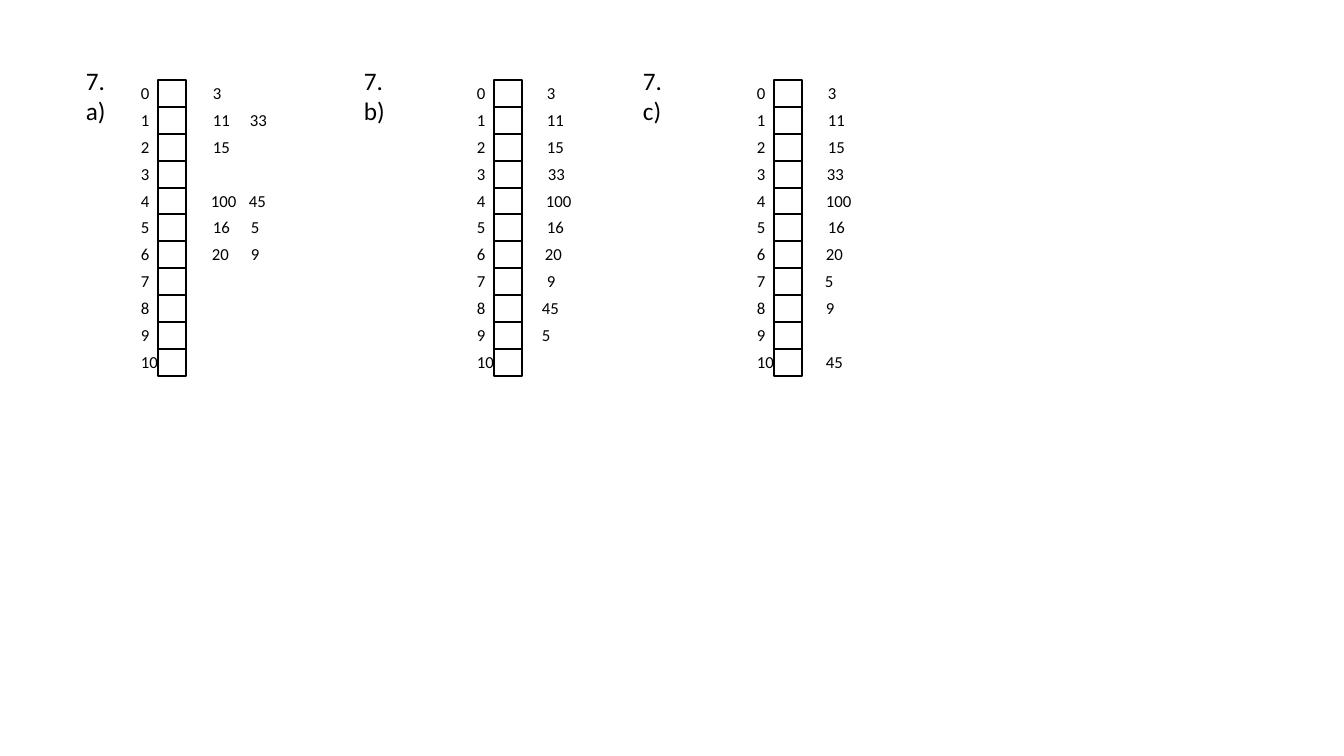
"""Build the slide of three hash tables with their stored values."""
from pptx import Presentation
from pptx.dml.color import RGBColor
from pptx.enum import shapes, text
from pptx.util import Emu, Pt

BLACK = RGBColor(0, 0, 0)
WHITE = RGBColor(255, 255, 255)
EMU_PER_PIXEL = 914400 / 100.8
BUCKETS = 11
PITCH = 26.9
TABLE_TOP = 80
TEXT_RISE = 2
INDEX_OFFSET = 27

FRAME_FORMAT = {
    "word_wrap": True,
    "auto_size": text.MSO_AUTO_SIZE.SHAPE_TO_FIT_TEXT,
}
HEADING_FONT = {"name": "Calibri", "size": Pt(18)}
NUMBER_FONT = {"name": "Calibri", "size": Pt(12)}

EXERCISES = [
    {"part": "a)", "heading_left": 76, "table_left": 158, "entries": [
        (0, "3", 203), (1, "11", 203), (1, "33", 240), (2, "15", 203),
        (4, "100", 201), (4, "45", 239), (5, "16", 203), (5, "5", 241),
        (6, "20", 202), (6, "9", 241)]},
    {"part": "b)", "heading_left": 354, "table_left": 494, "entries": [
        (0, "3", 537), (1, "11", 537), (2, "15", 537), (3, "33", 538),
        (4, "100", 536), (5, "16", 537), (6, "20", 535), (7, "9", 537),
        (8, "45", 532), (9, "5", 532)]},
    {"part": "c)", "heading_left": 633, "table_left": 774, "entries": [
        (0, "3", 818), (1, "11", 818), (2, "15", 818), (3, "33", 817),
        (4, "100", 816), (5, "16", 818), (6, "20", 816), (7, "5", 815),
        (8, "9", 816), (10, "45", 816)]},
]


def px(*lengths):
    """Turn pixel lengths into EMU."""
    return [Emu(round(length * EMU_PER_PIXEL)) for length in lengths]


def apply_format(target, values):
    """Set every attribute named in the format dict."""
    for attribute, value in values.items():
        setattr(target, attribute, value)


def bucket_top(bucket):
    """Return the top pixel of a bucket's cell."""
    return TABLE_TOP + round(bucket * PITCH)


def add_label(slide, lines, left, top, height, font):
    """Add a text box with one paragraph per line."""
    frame = slide.shapes.add_textbox(*px(left, top, 54, height)).text_frame
    apply_format(frame, FRAME_FORMAT)
    frame.text = "\n".join(lines)
    for paragraph in frame.paragraphs:
        apply_format(paragraph.font, font)
        paragraph.font.color.rgb = BLACK


def add_number(slide, number, left, bucket):
    """Add a small number level with a bucket."""
    add_label(slide, [number], left, bucket_top(bucket) - TEXT_RISE, 30, NUMBER_FONT)


def add_cell(slide, left, bucket):
    """Add the outlined square of one bucket."""
    cell = slide.shapes.add_shape(
        shapes.MSO_SHAPE.RECTANGLE, *px(left, bucket_top(bucket), 28, 27))
    cell.shadow.inherit = False
    cell.fill.solid()
    cell.fill.fore_color.rgb = WHITE
    cell.line.color.rgb = BLACK
    cell.line.width = Pt(1)


def add_exercise(slide, part, heading_left, table_left, entries):
    """Add a heading, its hash table and the stored values."""
    add_label(slide, ["7.", part], heading_left, 60, 72, HEADING_FONT)
    for bucket in range(BUCKETS):
        add_cell(slide, table_left, bucket)
    for bucket in range(BUCKETS):
        add_number(slide, str(bucket), table_left - INDEX_OFFSET, bucket)
    for bucket, value, left in entries:
        add_number(slide, value, left, bucket)


def main():
    """Build and save the slide."""
    deck = Presentation()
    deck.slide_width, deck.slide_height = px(1344, 756)
    slide = deck.slides.add_slide(deck.slide_layouts[6])
    for exercise in EXERCISES:
        add_exercise(slide, **exercise)
    deck.save("out.pptx")


main()
